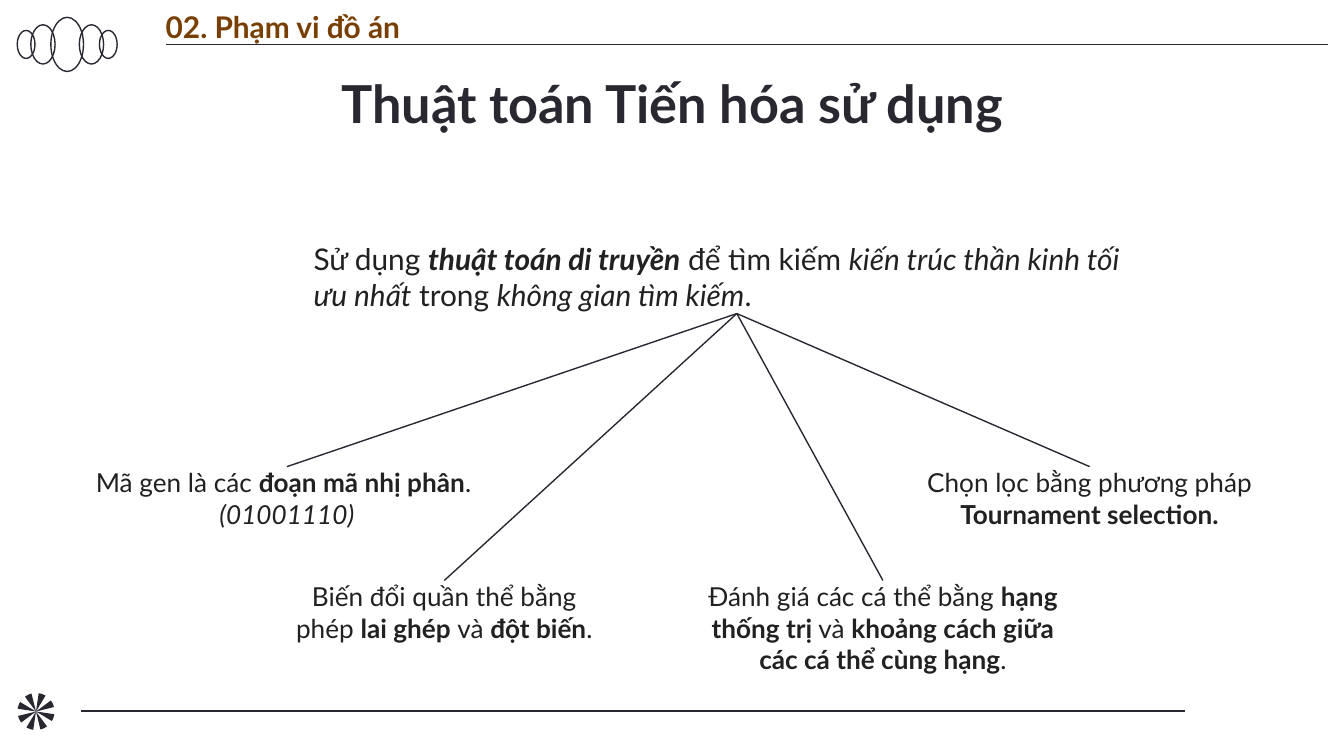
from math import cos, radians, sin

from lxml import etree
from pptx import Presentation
from pptx.dml.color import RGBColor
from pptx.enum.shapes import MSO_CONNECTOR as Connector, MSO_SHAPE as Shape
from pptx.enum.text import MSO_ANCHOR as Anchor, MSO_AUTO_SIZE as AutoSize, PP_ALIGN as Align
from pptx.oxml.ns import qn
from pptx.util import Pt

INK = RGBColor(0x29, 0x27, 0x30)
BODY = RGBColor(0x21, 0x21, 0x21)
BROWN = RGBColor(0x78, 0x3F, 0x04)
FONT = "Lato"
TOP_SITE, BOTTOM_SITE = 0, 2


def write_text(frame, paragraphs, size=14, color=BODY, align=Align.CENTER,
               anchor=Anchor.TOP, insets=(0, 0, 0, 0), auto_size=AutoSize.NONE):
    """Fill a frame; each paragraph is a list of (text, style), style from "b" and "i"."""
    frame.word_wrap = True
    frame.auto_size = auto_size
    frame.vertical_anchor = anchor
    (frame.margin_left, frame.margin_top,
     frame.margin_right, frame.margin_bottom) = map(Pt, insets)
    for index, runs in enumerate(paragraphs):
        paragraph = frame.add_paragraph() if index else frame.paragraphs[0]
        paragraph.alignment = align
        paragraph.space_before = Pt(0)
        for text, style in runs:
            run = paragraph.add_run()
            run.text = text
            run.font.name = FONT
            run.font.size = Pt(size)
            run.font.color.rgb = color
            run.font.bold = "b" in style
            run.font.italic = "i" in style


class SlideBuilder:
    def __init__(self, slide, ink=INK, line_width=0.75):
        self.slide = slide
        self.shapes = slide.shapes
        self.ink = ink
        self.line_width = line_width

    def title(self, text, left, top, width, height, **text_format):
        title = self.shapes.title
        title.left, title.top, title.width, title.height = map(Pt, (left, top, width, height))
        write_text(title.text_frame, [[(text, "b")]], **text_format)

    def text(self, paragraphs, left, top, width, height, **text_format):
        box = self.shapes.add_textbox(*map(Pt, (left, top, width, height)))
        write_text(box.text_frame, paragraphs, **text_format)
        return box

    def line(self, x1=0, y1=0, x2=0, y2=0):
        line = self.shapes.add_connector(Connector.STRAIGHT, *map(Pt, (x1, y1, x2, y2)))
        line.line.color.rgb = self.ink
        line.line.width = Pt(self.line_width)
        etree.SubElement(line._element.spPr, qn("a:effectLst"))
        return line

    def branch(self, parent, child):
        line = self.line()
        line.begin_connect(parent, BOTTOM_SITE)
        line.end_connect(child, TOP_SITE)

    def ring(self, center_x, center_y, width, height):
        ring = self.shapes.add_shape(
            Shape.OVAL, *map(Pt, (center_x - width / 2, center_y - height / 2, width, height)))
        ring.shadow.inherit = False
        ring.fill.background()
        ring.line.color.rgb = self.ink
        ring.line.width = Pt(self.line_width)
        return ring

    def petal(self, center_x, center_y, radius, start, sweep, steps=4):
        """Draw a thin sector, with angles in degrees clockwise from the right."""
        angles = [radians(start + sweep * step / steps) for step in range(steps + 1)]
        rim = [(Pt(center_x + radius * cos(angle)), Pt(center_y + radius * sin(angle)))
               for angle in angles]
        builder = self.shapes.build_freeform(Pt(center_x), Pt(center_y))
        builder.add_line_segments(rim)
        petal = builder.convert_to_shape()
        petal.shadow.inherit = False
        petal.fill.solid()
        petal.fill.fore_color.rgb = self.ink
        petal.line.fill.background()
        return petal

    def group(self, members):
        self.shapes.add_group_shape(members)


ROOT = [[("Sử dụng ", ""), ("thuật toán di truyền", "bi"), (" để tìm kiếm ", ""),
         ("kiến trúc thần kinh tối ưu nhất", "i"), (" trong ", ""),
         ("không gian tìm kiếm", "i"), (".", "")]]

# Paragraphs, then left, top, width, height
BRANCHES = [
    ([[("Mã gen là các ", ""), ("đoạn mã nhị phân", "b"), (". ", "")],
      [("(01001110)", "i")]], (46, 250, 215.5, 34)),
    ([[("Biến đổi quần thể bằng phép ", ""), ("lai ghép ", "b"), ("và ", ""),
       ("đột biến", "b"), (".", "")]], (154, 311, 168, 34)),
    ([[("Đánh giá các cá thể bằng ", ""), ("hạng thống trị", "b"), (" và ", ""),
       ("khoảng cách giữa các cá thể cùng hạng", "b"), (".", "")]], (370, 311, 206, 51)),
    ([[("Chọn lọc bằng phương pháp ", ""), ("Tournament selection.", "b")]],
     (494, 250, 179.5, 34)),
]


def main():
    presentation = Presentation()
    presentation.slide_width, presentation.slide_height = Pt(720), Pt(405)
    builder = SlideBuilder(presentation.slides.add_slide(presentation.slide_layouts[5]))

    ring_sizes = {0: (17.5, 29), 13: (13, 21), 22: (9.5, 15)}
    builder.group([builder.ring(36 + offset, 23.8, *ring_sizes[abs(offset)])
                   for offset in (-22, -13, 0, 13, 22)])
    builder.line(711.5, 23.8, 88.8, 23.8)
    builder.line(43.5, 381, 635, 381)
    builder.group([builder.petal(19.3, 381.2, 9.9, 8.5 + 45 * index, 22.5)
                   for index in range(8)])

    builder.text([[("02. Phạm vi đồ án", "b")]], 88.8, 4.5, 559, 19.5, size=16, color=BROWN,
                 align=Align.LEFT, anchor=Anchor.MIDDLE, insets=(0, 7.2, 7.2, 7.2))
    builder.title("Thuật toán Tiến hóa sử dụng", 56, 31, 608, 46, size=28, color=INK,
                  insets=(7.2, 7.2, 7.2, 7.2))

    grow = AutoSize.SHAPE_TO_FIT_TEXT
    root = builder.text(ROOT, 168, 129, 453.5, 39, size=16, align=Align.LEFT, auto_size=grow)
    for paragraphs, place in BRANCHES:
        builder.branch(root, builder.text(paragraphs, *place, auto_size=grow))

    presentation.save("out.pptx")


if __name__ == "__main__":
    main()
